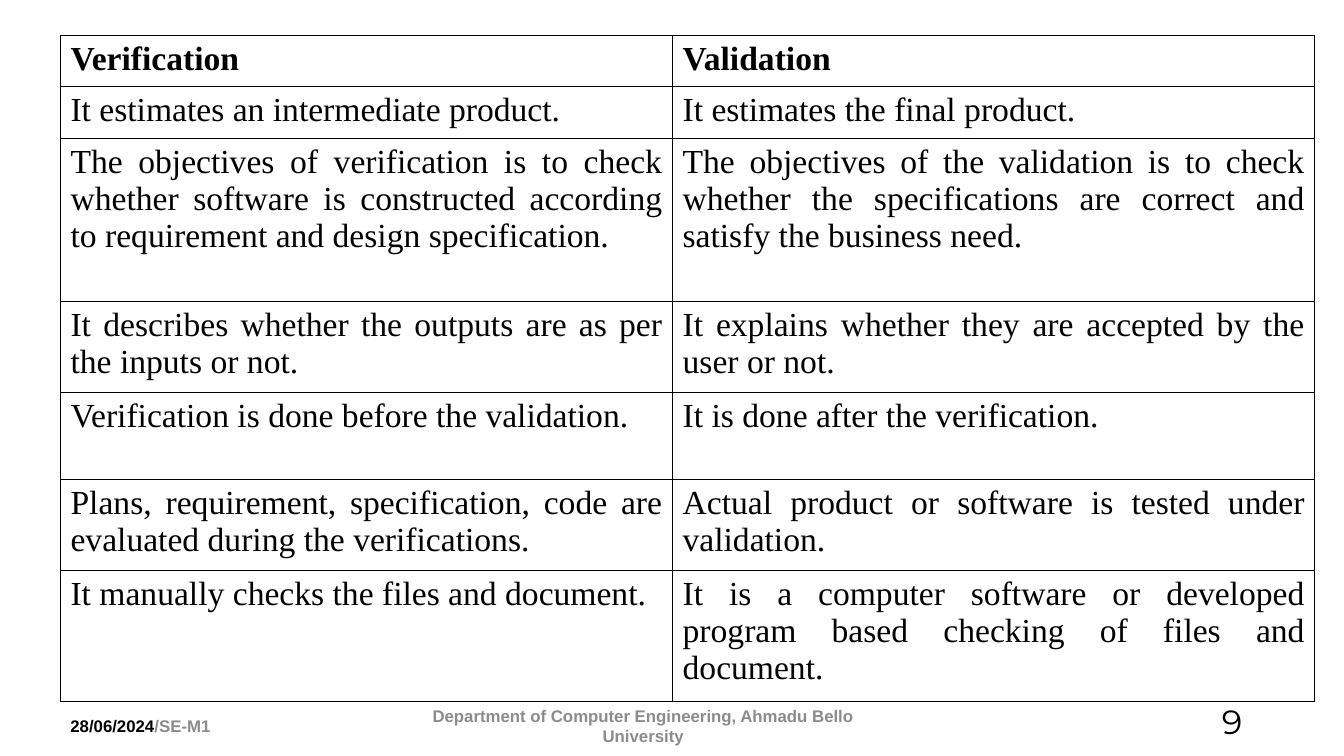
import dataclasses
import typing

import lxml.etree
import pptx
import pptx.dml.color
import pptx.enum.text
import pptx.oxml.ns
import pptx.util

ALIGN = pptx.enum.text.PP_ALIGN


@dataclasses.dataclass(frozen=True)
class Theme:
    ink: str = "000000"
    muted: str = "8B8B8B"
    body_font: str = "Times New Roman"
    footer_font: str = "Arial"
    number_font: str = "Montserrat"
    body_size: int = 24
    footer_size: int = 12
    number_size: int = 24
    border_width: int = 1


class Phrase(typing.NamedTuple):
    text: str
    color: str


@dataclasses.dataclass(frozen=True)
class FooterItem:
    left: float  # left, top and width are percentages of the slide
    top: float
    width: float
    align: ALIGN
    phrases: tuple[Phrase, ...]
    font: str
    size: int
    bold: bool


class Comparison(typing.NamedTuple):
    height: float  # percentage of the slide height
    verification: str
    validation: str


THEME = Theme()
SLIDE_WIDTH = pptx.util.Inches(13.33)
SLIDE_HEIGHT = pptx.util.Inches(7.5)
FOOTER_HEIGHT = 5.33
TABLE_LEFT, TABLE_TOP = 4.5, 4.67
COLUMN_WIDTHS = (45.54, 47.79)

FOOTERS = (
    FooterItem(30.98, 93.33, 33.76, ALIGN.CENTER,
               (Phrase("Department of Computer Engineering, Ahmadu Bello University", THEME.muted),),
               THEME.footer_font, THEME.footer_size, True),
    FooterItem(4.5, 93.33, 22.5, ALIGN.LEFT,
               (Phrase("28/06/2024", THEME.ink), Phrase("/SE-M1", THEME.muted)),
               THEME.footer_font, THEME.footer_size, True),
    FooterItem(70.67, 92.67, 22.5, ALIGN.RIGHT, (Phrase("9", THEME.ink),),
               THEME.number_font, THEME.number_size, False),
)

COMPARISONS = (
    Comparison(6.8, "Verification ", "Validation"),
    Comparison(6.8, "It estimates an intermediate product.", "It estimates the final product."),
    Comparison(21.6,
               "The objectives of verification is to check whether software is constructed "
               "according to requirement and design specification.",
               "The objectives of the validation is to check whether the specifications "
               "are correct and satisfy the business need."),
    Comparison(11.6, "It describes whether the outputs are as per the inputs or not.",
               "It explains whether they are accepted by the user or not."),
    Comparison(11.6, "Verification is done before the validation.",
               "It is done after the verification."),
    Comparison(11.6,
               "Plans, requirement, specification, code are evaluated during the verifications.",
               "Actual product or software is tested under validation."),
    Comparison(16.67, "It manually checks the files and document.",
               "It is a computer software or developed program based checking of files "
               "and document."),
)


def across(share: float) -> int:
    return round(SLIDE_WIDTH * share / 100)


def down(share: float) -> int:
    return round(SLIDE_HEIGHT * share / 100)


def format_run(run, font: str, size: int, color: str, bold: bool) -> None:
    run.font.name = font
    run.font.size = pptx.util.Pt(size)
    run.font.bold = bold
    run.font.color.rgb = pptx.dml.color.RGBColor.from_string(color)


def draw_footer(slide, item: FooterItem) -> None:
    shape = slide.shapes.add_textbox(across(item.left), down(item.top),
                                     across(item.width), down(FOOTER_HEIGHT))
    text_frame = shape.text_frame
    text_frame.word_wrap = True
    text_frame.vertical_anchor = pptx.enum.text.MSO_ANCHOR.MIDDLE
    paragraph = text_frame.paragraphs[0]
    paragraph.alignment = item.align
    for phrase in item.phrases:
        run = paragraph.add_run()
        run.text = phrase.text
        format_run(run, item.font, item.size, phrase.color, item.bold)


def draw_borders(cell) -> None:
    properties = cell._tc.get_or_add_tcPr()
    qualify = pptx.oxml.ns.qn
    width = str(pptx.util.Pt(THEME.border_width))
    for position, side in enumerate(("a:lnL", "a:lnR", "a:lnT", "a:lnB")):
        line = lxml.etree.Element(qualify(side), w=width)
        fill = lxml.etree.SubElement(line, qualify("a:solidFill"))
        lxml.etree.SubElement(fill, qualify("a:srgbClr"), val=THEME.ink)
        properties.insert(position, line)


def fill_cell(cell, text: str, bold: bool) -> None:
    cell.fill.background()
    draw_borders(cell)
    cell.text_frame.text = text
    paragraph = cell.text_frame.paragraphs[0]
    paragraph.alignment = ALIGN.JUSTIFY
    format_run(paragraph.runs[0], THEME.body_font, THEME.body_size, THEME.ink, bold)


def draw_table(slide, comparisons: tuple[Comparison, ...]) -> None:
    table_height = sum(comparison.height for comparison in comparisons)
    table = slide.shapes.add_table(
        len(comparisons), len(COLUMN_WIDTHS), across(TABLE_LEFT), down(TABLE_TOP),
        across(sum(COLUMN_WIDTHS)), down(table_height)).table
    table.horz_banding = False
    for column, width in zip(table.columns, COLUMN_WIDTHS):
        column.width = across(width)
    for index, comparison in enumerate(comparisons):
        row = table.rows[index]
        row.height = down(comparison.height)
        for cell, text in zip(row.cells, (comparison.verification, comparison.validation)):
            fill_cell(cell, text, bold=index == 0)


def main() -> None:
    presentation = pptx.Presentation()
    presentation.slide_width = SLIDE_WIDTH
    presentation.slide_height = SLIDE_HEIGHT
    slide = presentation.slides.add_slide(presentation.slide_layouts[6])

    # Footer line: department, date and slide number
    for item in FOOTERS:
        draw_footer(slide, item)

    # Verification and validation side by side
    draw_table(slide, COMPARISONS)

    presentation.save("out.pptx")


if __name__ == "__main__":
    main()
